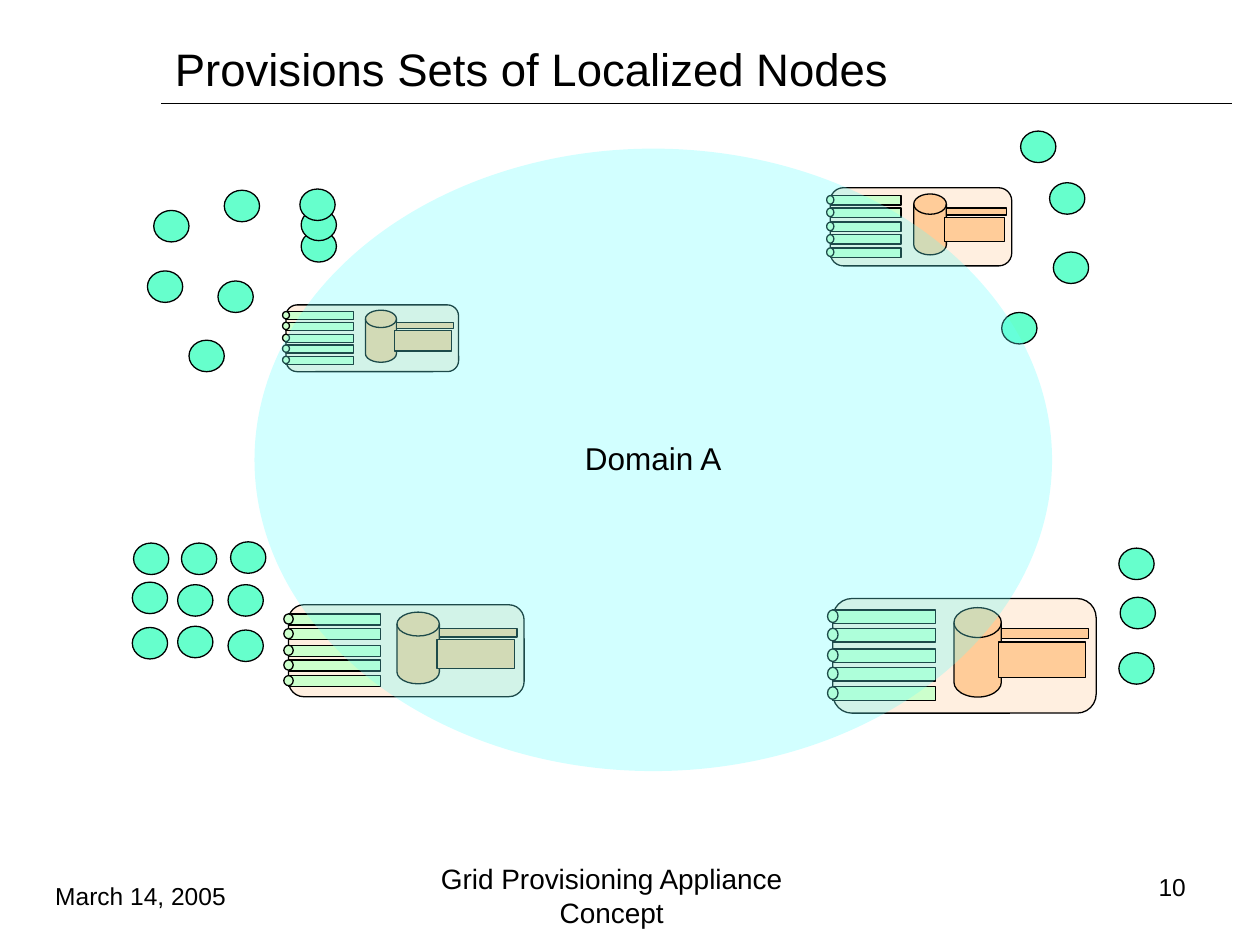
import pptx
import pptx.dml.color
import pptx.enum.shapes
import pptx.enum.text
import pptx.oxml.ns
import pptx.util
from pptx.util import Inches
from lxml import etree

KIND = pptx.enum.shapes.MSO_SHAPE
ALIGN = pptx.enum.text.PP_ALIGN
MIDDLE = pptx.enum.text.MSO_ANCHOR.MIDDLE
BLACK, PEACH, LIME, MINT, AQUA = "000000", "FFCC99", "CCFFCC", "66FFCC", "66FFFF"
NODE_W, NODE_H = 0.28, 0.25

FIRST_NODE = (2.39, 1.83)
NODES = [
    (1.78, 1.51), (1.22, 1.67), (1.73, 2.23), (2.39, 1.66), (2.38, 1.5),
    (1.17, 2.15), (1.5, 2.7),
    (8.1, 1.04), (8.33, 1.45), (8.36, 2), (7.95, 2.48),
    (8.88, 4.35), (8.89, 4.74), (8.88, 5.18),
    (1.06, 4.31), (1.44, 4.31), (1.83, 4.3),
    (1.05, 4.62), (1.41, 4.64), (1.81, 4.64),
    (1.05, 4.98), (1.41, 4.97), (1.81, 5),
]
RACKS = [
    (6.59, 1.49, 1.44, 0.62),
    (6.61, 4.75, 2.09, 0.91),
    (2.27, 2.42, 1.37, 0.53),
    (2.29, 4.8, 1.87, 0.73),
]
BAR_TOPS = (0.1, 0.26, 0.44, 0.6, 0.77)


def color(text):
    return pptx.dml.color.RGBColor.from_string(text)


def add_shape(shapes, kind, box, fill, alpha=100, edge=True):
    shape = shapes.add_shape(kind, *map(Inches, box))
    shape.shadow.inherit = False
    shape.fill.solid()
    shape.fill.fore_color.rgb = color(fill)
    if alpha < 100:
        tint = shape.fill._xPr.find(".//" + pptx.oxml.ns.qn("a:srgbClr"))
        etree.SubElement(tint, pptx.oxml.ns.qn("a:alpha"), val=str(alpha * 1000))
    if edge:
        shape.line.color.rgb = color(BLACK)
        shape.line.width = pptx.util.Pt(0.75)
    else:
        shape.line.fill.background()
    return shape


def write(shape, words, size, align=ALIGN.LEFT, wrap=True):
    frame = shape.text_frame
    frame.word_wrap = wrap
    frame.vertical_anchor = MIDDLE
    para = frame.paragraphs[0]
    para.alignment = align
    run = para.add_run()
    run.text = words
    run.font.name = "Arial"
    run.font.size = pptx.util.Pt(size)
    run.font.color.rgb = color(BLACK)
    return para


def add_text(slide, box, words, size, align=ALIGN.LEFT):
    write(slide.shapes.add_textbox(*map(Inches, box)), words, size, align)


def add_rule(slide, left, right, top):
    line = slide.shapes.add_connector(
        pptx.enum.shapes.MSO_CONNECTOR.STRAIGHT,
        Inches(left), Inches(top), Inches(right), Inches(top))
    line.line.color.rgb = color(BLACK)
    line.line.width = pptx.util.Pt(0.75)
    etree.SubElement(line._element.spPr, pptx.oxml.ns.qn("a:effectLst"))


def add_node(slide, spot):
    add_shape(slide.shapes, KIND.OVAL, (*spot, NODE_W, NODE_H), MINT)


def add_rack(slide, left, top, width, height):
    shapes = slide.shapes.add_group_shape().shapes

    def part(kind, x, y, w, h, fill, alpha=100):
        box = (left + x * width, top + y * height, w * width, h * height)
        add_shape(shapes, kind, box, fill, alpha)

    part(KIND.ROUNDED_RECTANGLE, 0, 0, 1, 1, PEACH, 30)
    part(KIND.FLOWCHART_MAGNETIC_DISK, 0.46, 0.08, 0.18, 0.78, PEACH)
    part(KIND.RECTANGLE, 0.64, 0.26, 0.33, 0.09, PEACH)
    for y in BAR_TOPS:
        part(KIND.RECTANGLE, 0, y, 0.39, 0.12, LIME)
        part(KIND.OVAL, -0.02, y, 0.04, 0.11, LIME)
    part(KIND.RECTANGLE, 0.63, 0.38, 0.33, 0.31, PEACH)


def add_domain(slide):
    oval = add_shape(slide.shapes, KIND.OVAL, (2.02, 1.18, 6.33, 4.94), AQUA, 29, False)
    para = write(oval, "Domain A", 18, ALIGN.CENTER, False)
    para.line_spacing = 0.9


def main():
    deck = pptx.Presentation()
    deck.slide_width, deck.slide_height = Inches(10), Inches(7.5)
    slide = deck.slides.add_slide(deck.slide_layouts[6])
    add_rule(slide, 1.28, 9.78, 0.82)
    add_node(slide, FIRST_NODE)
    add_text(slide, (1.29, 0.33, 8.5, 0.42), "Provisions Sets of Localized Nodes", 26)
    for rack in RACKS:
        add_rack(slide, *rack)
    for spot in NODES:
        add_node(slide, spot)
    add_domain(slide)
    add_text(slide, (3.04, 6.83, 3.63, 0.55), "Grid Provisioning Appliance Concept", 16, ALIGN.CENTER)
    add_text(slide, (8.56, 6.92, 0.95, 0.24), "10", 14, ALIGN.RIGHT)
    add_text(slide, (0.34, 6.92, 1.76, 0.37), "March 14, 2005", 14)
    deck.save("out.pptx")


if __name__ == "__main__":
    main()
